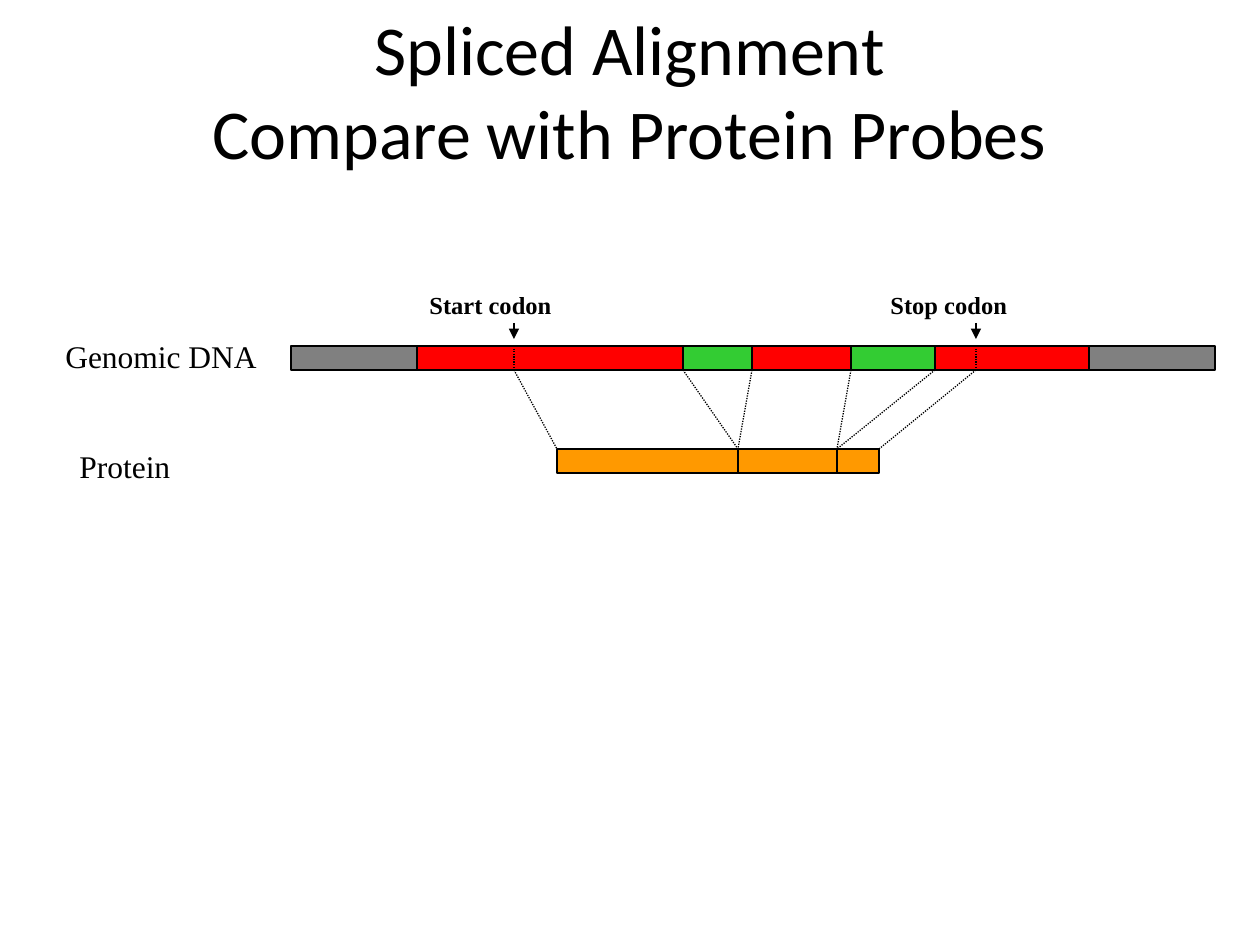
from itertools import pairwise

from lxml import etree
from pptx import Presentation
from pptx.dml.color import RGBColor
from pptx.enum.dml import MSO_LINE
from pptx.enum.shapes import MSO_CONNECTOR, MSO_SHAPE
from pptx.enum.text import MSO_ANCHOR, PP_ALIGN
from pptx.oxml.ns import qn
from pptx.util import Emu, Pt

PX = 914400 // 126
BLACK, GREY, RED, GREEN, ORANGE = "000000", "808080", "FF0000", "33CC33", "FF9900"

TITLE = ["Spliced Alignment", "Compare with Protein Probes"]
# text, left, top, width, height, size, bold
LABELS = [
    ("Genomic DNA", 53, 331, 238, 50, 18, False),
    ("Protein", 67, 441, 238, 50, 18, False),
    ("Start codon", 417, 284, 224, 42, 14, True),
    ("Stop codon", 878, 284, 224, 42, 14, True),
]
BAR_HEIGHT = 24
DNA_TOP, PROTEIN_TOP = 346, 449
DNA_EDGES = [291, 417, 683, 752, 851, 935, 1089, 1215]
DNA_COLORS = [GREY, RED, GREEN, RED, GREEN, RED, GREY]
PROTEIN_EDGES = [557, 738, 837, 879]
START_CODON, STOP_CODON = 514, 976
ARROW_TOP, ARROW_TIP = 323, 339


def px(value):
    return Emu(value * PX)


def color(value):
    return RGBColor.from_string(value)


def add_text(page, lines, left, top, width, height, size, font, bold=False,
             align=PP_ALIGN.LEFT, anchor=MSO_ANCHOR.TOP):
    box = page.shapes.add_textbox(px(left), px(top), px(width), px(height))
    frame = box.text_frame
    frame.word_wrap = True
    frame.vertical_anchor = anchor
    for index, line in enumerate(lines):
        para = frame.add_paragraph() if index else frame.paragraphs[0]
        para.alignment = align
        span = para.add_run()
        span.text = line
        span.font.name = font
        span.font.size = Pt(size)
        span.font.bold = bold
        span.font.color.rgb = color(BLACK)


def add_bar(page, edges, colors, top):
    """Draw adjoining segments, one between each pair of edges."""
    for (left, right), fill in zip(pairwise(edges), colors):
        segment = page.shapes.add_shape(
            MSO_SHAPE.RECTANGLE, px(left), px(top), px(right - left), px(BAR_HEIGHT))
        segment.shadow.inherit = False
        segment.fill.solid()
        segment.fill.fore_color.rgb = color(fill)
        segment.line.color.rgb = color(BLACK)
        segment.line.width = Pt(0.75)


def add_line(page, x1, y1, x2, y2, arrow=False):
    """Draw a solid arrow or a dotted guide."""
    line = page.shapes.add_connector(
        MSO_CONNECTOR.STRAIGHT, px(x1), px(y1), px(x2), px(y2))
    line.line.color.rgb = color(BLACK)
    line.line.width = Pt(0.75)
    if arrow:
        outline = line.line._get_or_add_ln()
        etree.SubElement(outline, qn("a:tailEnd"), type="triangle")
    else:
        line.line.dash_style = MSO_LINE.ROUND_DOT
    etree.SubElement(line._element.spPr, qn("a:effectLst"))


def main():
    deck = Presentation()
    deck.slide_width, deck.slide_height = px(1260), px(945)
    page = deck.slides.add_slide(deck.slide_layouts[6])

    add_text(page, TITLE, 94, 10, 1071, 158, 40, "Calibri",
             align=PP_ALIGN.CENTER, anchor=MSO_ANCHOR.MIDDLE)
    for text, left, top, width, height, size, bold in LABELS:
        add_text(page, [text], left, top, width, height, size, "Times New Roman", bold)

    add_bar(page, DNA_EDGES, DNA_COLORS, DNA_TOP)
    add_bar(page, PROTEIN_EDGES, [ORANGE] * 3, PROTEIN_TOP)

    dna_bottom = DNA_TOP + BAR_HEIGHT
    for codon in (START_CODON, STOP_CODON):
        add_line(page, codon, ARROW_TOP, codon, ARROW_TIP, arrow=True)
        add_line(page, codon, DNA_TOP, codon, dna_bottom)

    # Each coding stretch maps to one protein segment; inner joins meet two guides.
    coding_ends = [START_CODON, *DNA_EDGES[2:6], STOP_CODON]
    protein_ends = [edge for pair in pairwise(PROTEIN_EDGES) for edge in pair]
    for dna_x, protein_x in zip(coding_ends, protein_ends):
        add_line(page, dna_x, dna_bottom, protein_x, PROTEIN_TOP)

    deck.save("out.pptx")


if __name__ == "__main__":
    main()
